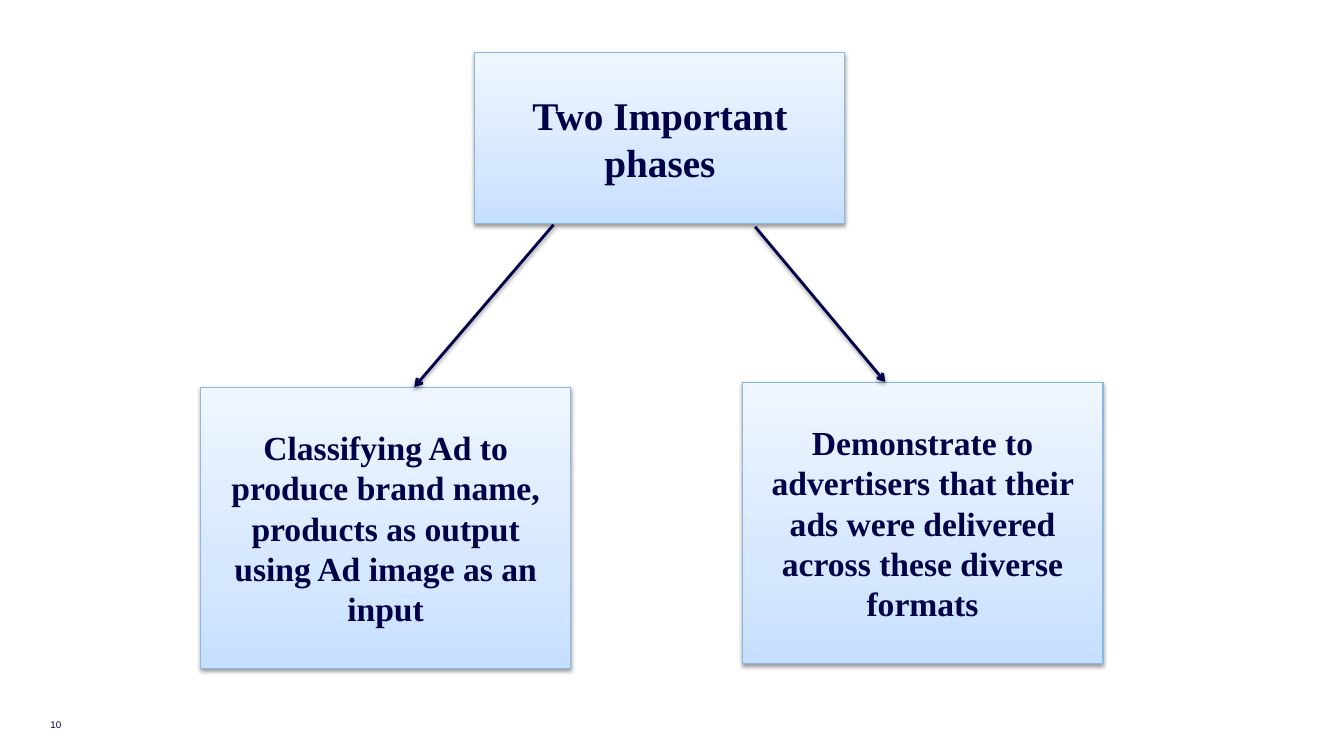
from copy import deepcopy

from lxml import etree
from pptx import Presentation
from pptx.dml.color import RGBColor
from pptx.enum.shapes import MSO_CONNECTOR, MSO_SHAPE
from pptx.enum.text import MSO_ANCHOR, PP_ALIGN
from pptx.oxml.ns import qn
from pptx.util import Inches, Pt

PROCESS = MSO_SHAPE.FLOWCHART_PROCESS
STRAIGHT = MSO_CONNECTOR.STRAIGHT
MIDDLE, BOTTOM = MSO_ANCHOR.MIDDLE, MSO_ANCHOR.BOTTOM
LEFT, CENTER = PP_ALIGN.LEFT, PP_ALIGN.CENTER


def rgb(value):
    return RGBColor.from_string(value)


class PhaseSlide:
    """Holds the style and the current slide, and draws its elements."""

    ink, edge = "000048", "8DB7E3"
    stops = [(0, "C6DFFF"), (0.35, "D6E8FF"), (1, "EFF6FF")]

    def __init__(self, prs):
        self.s = prs.slides.add_slide(prs.slide_layouts[6])

    def set_text(self, tf, text, size, font, anchor, align, bold=False):
        tf.word_wrap = True
        tf.vertical_anchor = anchor
        tf.text = text
        p = tf.paragraphs[0]
        p.alignment = align
        f = p.runs[0].font
        f.name, f.size, f.bold = font, Pt(size), bold
        f.color.rgb = rgb(self.ink)

    def add_shadow(self, sp):
        effects = etree.SubElement(sp.element.spPr, qn("a:effectLst"))
        outer = etree.SubElement(effects, qn("a:outerShdw"), blurRad="40000",
                                 dist="20000", dir="5400000", rotWithShape="0")
        color = etree.SubElement(outer, qn("a:srgbClr"), val="000000")
        etree.SubElement(color, qn("a:alpha"), val="38000")

    def box(self, text, x, y, w, h, size):
        sp = self.s.shapes.add_shape(PROCESS, Inches(x), Inches(y), Inches(w), Inches(h))
        sp.fill.gradient()
        sp.fill.gradient_angle = 90
        gs_list = sp.element.spPr.find(".//" + qn("a:gsLst"))
        gs_list.insert(1, deepcopy(gs_list[0]))
        for stop, (position, color) in zip(sp.fill.gradient_stops, self.stops):
            stop.position = position
            stop.color.rgb = rgb(color)
        sp.line.color.rgb = rgb(self.edge)
        sp.line.width = Pt(0.75)
        self.add_shadow(sp)
        self.set_text(sp.text_frame, text, size, "Times New Roman", MIDDLE, CENTER, True)

    def arrow(self, x1, y1, x2, y2):
        cxn = self.s.shapes.add_connector(STRAIGHT, Inches(x1), Inches(y1),
                                          Inches(x2), Inches(y2))
        cxn.line.color.rgb = rgb(self.ink)
        cxn.line.width = Pt(2)
        ln = cxn.element.spPr.find(qn("a:ln"))
        etree.SubElement(ln, qn("a:tailEnd"), type="arrow")
        self.add_shadow(cxn)

    def page_number(self, text, x, y, w, h):
        tf = self.s.shapes.add_textbox(Inches(x), Inches(y), Inches(w), Inches(h)).text_frame
        tf.margin_left = tf.margin_right = tf.margin_top = tf.margin_bottom = 0
        self.set_text(tf, text, 7, "Arial", BOTTOM, LEFT)


def main():
    prs = Presentation()
    prs.slide_width, prs.slide_height = Inches(13.33), Inches(7.5)
    slide = PhaseSlide(prs)
    slide.page_number("10", 0.5, 6.92, 0.39, 0.33)
    slide.box("Two Important phases", 4.71, 0.52, 3.67, 1.7, 28)
    slide.box("Classifying Ad to produce brand name, products as output "
              "using Ad image as an input", 1.99, 3.84, 3.67, 2.79, 24)
    slide.box("Demonstrate to advertisers that their ads were delivered "
              "across these diverse formats", 7.36, 3.79, 3.58, 2.79, 24)
    slide.arrow(5.49, 2.23, 4.11, 3.84)
    slide.arrow(7.49, 2.25, 8.78, 3.79)
    prs.save("out.pptx")


if __name__ == "__main__":
    main()
